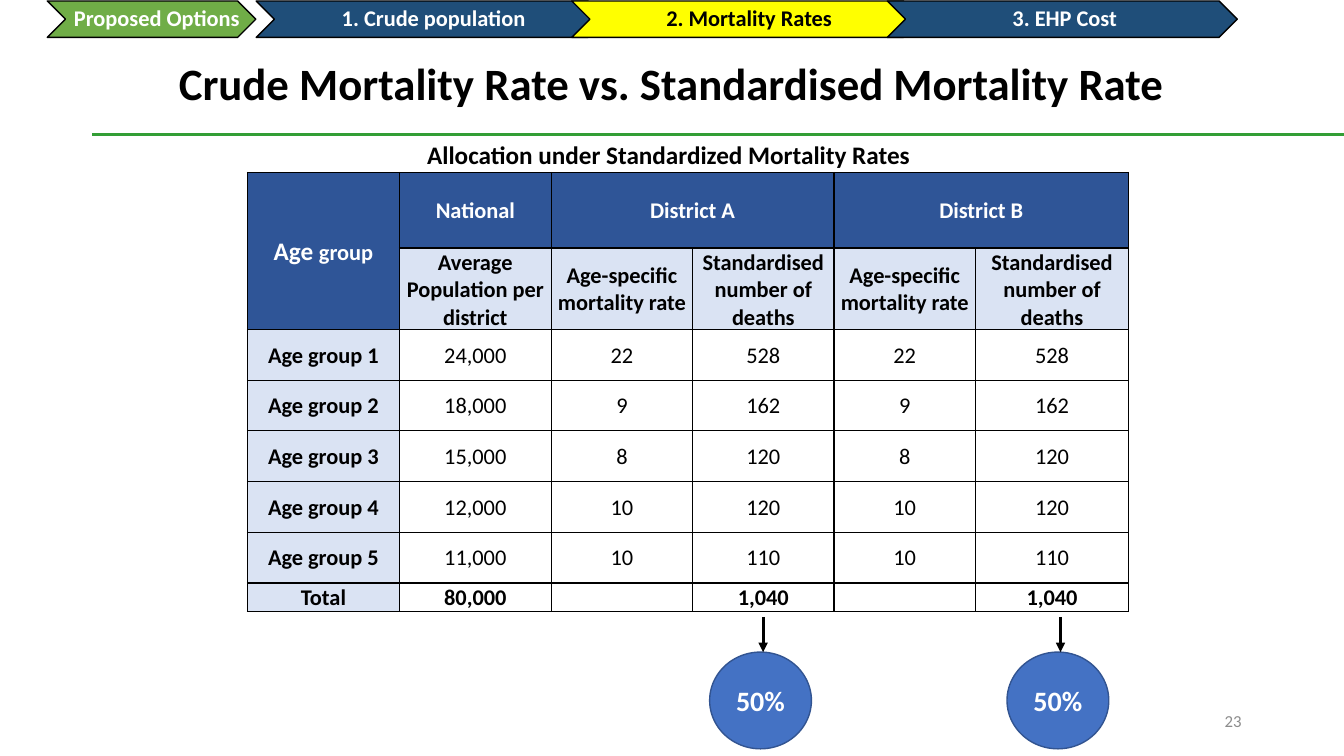
from lxml import etree
from pptx import Presentation
from pptx.dml.color import RGBColor
from pptx.enum import shapes, text
from pptx.oxml import ns
from pptx.util import Pt

# Content
TITLE = "Crude Mortality Rate vs. Standardised Mortality Rate"
CAPTION = "Allocation under Standardized Mortality Rates"
PAGE = "23"
# label, left, width, left inset, fill, font colour
STEPS = [("Proposed Options", 33.8, 149, 9, "green", "white")] + [
    (label, 183 + 225.4 * i, 250, 5, fill, ink)
    for i, (label, fill, ink) in enumerate([
        ("1. Crude population", "navy", "white"),
        ("2. Mortality Rates", "yellow", "black"),
        ("3. EHP Cost", "navy", "white")])]
DISTRICT_HEADS = ["Age-specific mortality rate", "Standardised number of deaths"]
ROWS = [
    ["Age group", "National", "District A", "", "District B", ""],
    ["", "Average Population per district"] + DISTRICT_HEADS * 2,
    ["Age group 1", "24,000"] + ["22", "528"] * 2,
    ["Age group 2", "18,000"] + ["9", "162"] * 2,
    ["Age group 3", "15,000"] + ["8", "120"] * 2,
    ["Age group 4", "12,000"] + ["10", "120"] * 2,
    ["Age group 5", "11,000"] + ["10", "110"] * 2,
    ["Total", "80,000"] + ["", "1,040"] * 2,
]
MERGES = [((0, 0), (1, 0)), ((0, 2), (0, 3)), ((0, 4), (0, 5))]
COLUMN_WIDTHS = [108.5, 108.5, 101, 101, 101, 109.5]
ROW_HEIGHTS = [54, 54] + [36.2] * 5 + [20.4]
SHARES = [("50%", 506.9), ("50%", 719.3)]  # label, left of circle

FONT = "Calibri"
COLORS = {
    "white": "FFFFFF", "black": "000000", "navy": "1F4E79", "yellow": "FFFF00",
    "green": "70AD47", "rule": "339E35", "grey": "8C8C8C", "circle": "4472C4",
    "circle_line": "325491", "header": "2F5597", "pale": "DAE3F3",
}


def color(name):
    return RGBColor.from_string(COLORS[name])


def set_text(frame, words, size, ink, bold=True, align="CENTER", anchor="MIDDLE"):
    frame.text = words
    frame.vertical_anchor = text.MSO_ANCHOR[anchor]
    paragraph = frame.paragraphs[0]
    paragraph.alignment = text.PP_ALIGN[align]
    for run in paragraph.runs:
        run.font.name, run.font.size, run.font.bold = FONT, Pt(size), bold
        run.font.color.rgb = color(ink)
    return paragraph


def add_shape(kind, left, top, width, height, fill, line):
    shape = slide.shapes.add_shape(kind, Pt(left), Pt(top), Pt(width), Pt(height))
    shape.shadow.inherit = False
    shape.fill.solid()
    shape.fill.fore_color.rgb = color(fill)
    shape.line.color.rgb = color(line)
    shape.line.width = Pt(1)
    return shape


def add_line(x1, y1, x2, y2, ink, arrow=False):
    line = slide.shapes.add_connector(
        shapes.MSO_CONNECTOR.STRAIGHT, Pt(x1), Pt(y1), Pt(x2), Pt(y2))
    line.line.color.rgb = color(ink)
    line.line.width = Pt(2.25)
    if arrow:
        etree.SubElement(line.line._get_or_add_ln(), ns.qn("a:tailEnd"), type="triangle")
    etree.SubElement(line._element.spPr, ns.qn("a:effectLst"))


def add_textbox(left, top, width, height):
    return slide.shapes.add_textbox(Pt(left), Pt(top), Pt(width), Pt(height)).text_frame


def add_borders(cell):
    properties = cell._tc.get_or_add_tcPr()
    for side in ("a:lnL", "a:lnR", "a:lnT", "a:lnB"):
        border = etree.SubElement(properties, ns.qn(side), w=str(Pt(1)))
        fill = etree.SubElement(border, ns.qn("a:solidFill"))
        etree.SubElement(fill, ns.qn("a:srgbClr"), val=COLORS["black"])


presentation = Presentation()
presentation.slide_width, presentation.slide_height = Pt(960), Pt(540)
slide = presentation.slides.add_slide(presentation.slide_layouts[5])

# Title, rule, caption and page number
title = slide.shapes.title
title.left, title.top, title.width, title.height = Pt(76.3), Pt(0.7), Pt(807), Pt(81.4)
set_text(title.text_frame, TITLE, 32, "black", anchor="BOTTOM").line_spacing = 0.9
title.text_frame.word_wrap = True
add_line(66, 95.8, 960, 95.8, "rule")
caption = add_textbox(298, 95.8, 363.6, 29)
set_text(caption, CAPTION, 18, "black", align="LEFT", anchor="TOP")
caption.word_wrap = False
set_text(add_textbox(678, 500.5, 216, 28.8), PAGE, 12, "grey", bold=False, align="RIGHT")

# Step chevrons
for label, left, width, inset, fill, ink in STEPS:
    step = add_shape(shapes.MSO_SHAPE.CHEVRON, left, 0.7, width, 26, fill, "black")
    frame = step.text_frame
    frame.margin_left = Pt(inset)
    frame.margin_top = frame.margin_right = frame.margin_bottom = Pt(1.5)
    frame.word_wrap = False
    set_text(frame, label, 16, ink).line_spacing = 0.9

# Mortality table
table = slide.shapes.add_table(
    len(ROWS), len(COLUMN_WIDTHS), Pt(176.8), Pt(123.1),
    Pt(sum(COLUMN_WIDTHS)), Pt(sum(ROW_HEIGHTS))).table
for column, width in zip(table.columns, COLUMN_WIDTHS):
    column.width = Pt(width)
for row, height in zip(table.rows, ROW_HEIGHTS):
    row.height = Pt(height)
for r, row in enumerate(ROWS):
    for c, words in enumerate(row):
        cell = table.cell(r, c)
        add_borders(cell)
        is_header = r == 0 or (r, c) == (1, 0)
        fill = "header" if is_header else "pale" if r == 1 or c == 0 else "white"
        cell.fill.solid()
        cell.fill.fore_color.rgb = color(fill)
        cell.vertical_anchor = text.MSO_ANCHOR.MIDDLE
        cell.margin_left = cell.margin_right = cell.margin_top = Pt(0.7)
        cell.margin_bottom = Pt(0)
        paragraph = set_text(cell.text_frame, words, 16, "white" if is_header else "black",
                             bold=fill != "white" or r == len(ROWS) - 1)
        if not words:
            paragraph._p.get_or_add_endParaRPr().set("sz", "1600")
for start, end in MERGES:
    table.cell(*start).merge(table.cell(*end))

# Larger first word in the corner heading
corner = set_text(table.cell(0, 0).text_frame, "Age ", 18, "white")
group = corner.add_run()
group.text = "group"
group.font.name, group.font.size, group.font.bold = FONT, Pt(16), True
group.font.color.rgb = color("white")

# Shares below the totals
for label, left in SHARES:
    circle = add_shape(shapes.MSO_SHAPE.OVAL, left, 465.8, 72.7, 69.1, "circle", "circle_line")
    set_text(circle.text_frame, label, 20, "white")
    add_line(left + 38.2, 440.6, left + 38.2, 465.8, "black", arrow=True)

presentation.save("out.pptx")
